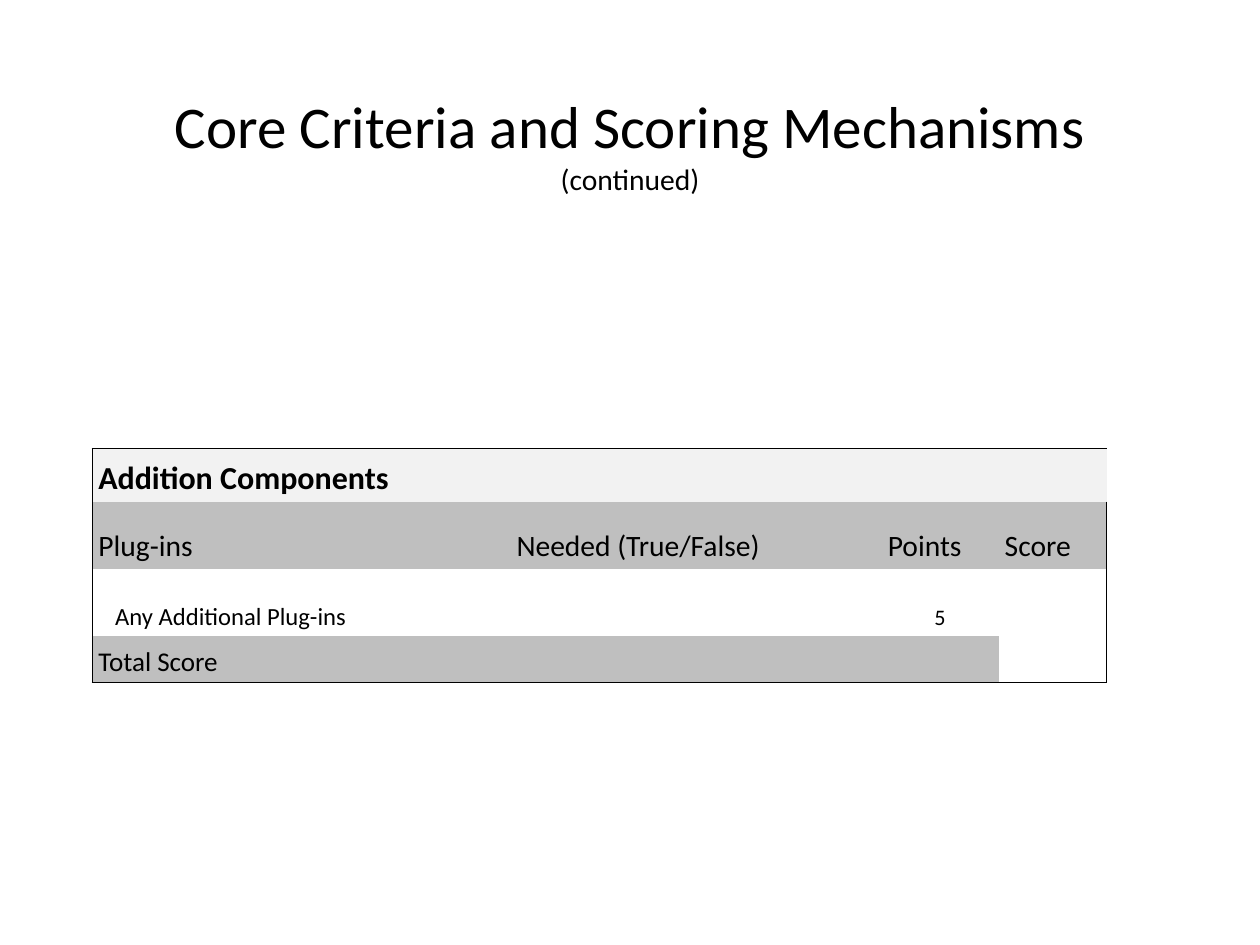
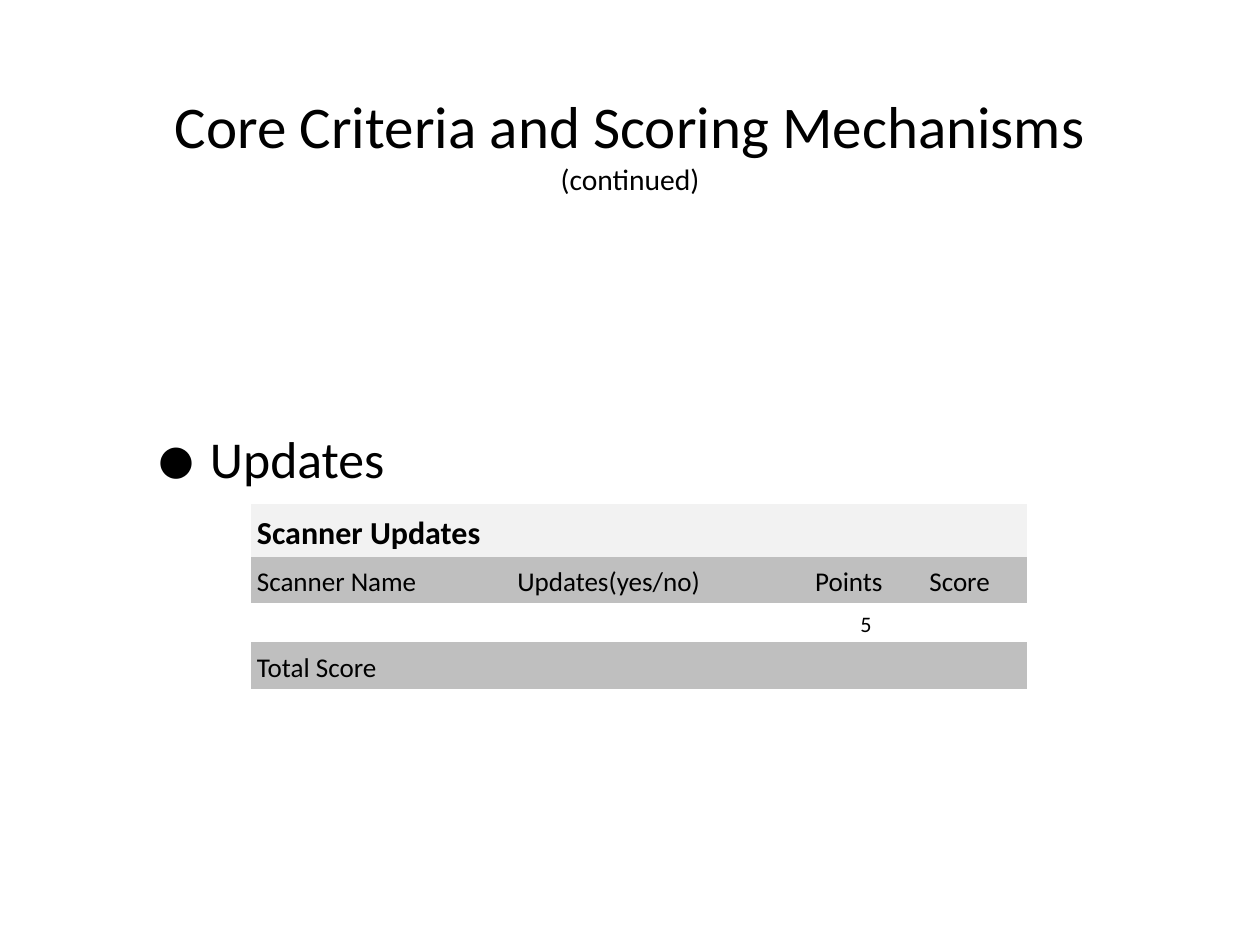
import dataclasses

import lxml.etree
import pptx
import pptx.dml.color
import pptx.enum.text
import pptx.oxml.ns
import pptx.util

EMU_PER_PX = 9144  # 100 px to the inch
ALIGN = pptx.enum.text.PP_ALIGN
ANCHOR = pptx.enum.text.MSO_ANCHOR
PLAIN_TABLE_STYLE = "{2D5ABB26-0587-4C30-8999-92F81FD0307C}"


@dataclasses.dataclass(frozen=True)
class Theme:
    font: str = "Calibri"
    ink: str = "000000"
    paper: str = "FFFFFF"
    heading_fill: str = "F2F2F2"
    band_fill: str = "BFBFBF"
    title_size: int = 48
    title_gap_size: int = 26
    subtitle_size: int = 24
    body_size: int = 42
    heading_size: int = 26
    total_size: int = 22
    item_size: int = 20
    points_size: int = 18
    border_width: float = 1.13
    bullet_percent: int = 171


@dataclasses.dataclass
class Row:
    height: int
    texts: tuple
    fill: str
    size: int
    bold: bool = False
    span: int = 1
    indent: int = 0
    last_fill: str = ""


def px(length):
    return pptx.util.Emu(length * EMU_PER_PX)


def rgb(value):
    return pptx.dml.color.RGBColor.from_string(value)


def add_element(parent, tag, **attributes):
    element = lxml.etree.SubElement(parent, pptx.oxml.ns.qn(tag))
    for name, value in attributes.items():
        element.set(name, str(value))
    return element


class ScoringDeck:
    def __init__(self, theme):
        self.theme = theme
        self.deck = pptx.Presentation()
        self.deck.slide_width = px(1422)
        self.deck.slide_height = px(1066)
        self.page = None

    def add_page(self):
        self.page = self.deck.slides.add_slide(self.deck.slide_layouts[6])
        fill = self.page.background.fill
        fill.solid()
        fill.fore_color.rgb = rgb(self.theme.paper)
        self.add_title()

    def add_span(self, para, text, size, bold=False):
        span = para.add_run()
        span.text = text
        span.font.name = self.theme.font
        span.font.size = pptx.util.Pt(size)
        span.font.bold = bold
        span.font.color.rgb = rgb(self.theme.ink)

    def add_box(self, left, top, width, height, anchor):
        box = self.page.shapes.add_textbox(px(left), px(top), px(width), px(height))
        frame = box.text_frame
        frame.word_wrap = True
        frame.vertical_anchor = anchor
        frame.margin_left = frame.margin_right = px(6)
        frame.margin_top = frame.margin_bottom = px(6)
        return frame.paragraphs[0]

    def add_title(self):
        theme = self.theme
        para = self.add_box(139, 15, 1144, 292, ANCHOR.MIDDLE)
        para.alignment = ALIGN.CENTER
        self.add_span(para, "Core Criteria and Scoring Mechanisms", theme.title_size)
        self.add_span(para, " ", theme.title_gap_size)
        self.add_span(para, "(continued)", theme.subtitle_size)

    def add_bullet(self, text, left, top, width, height):
        para = self.add_box(left, top, width, height, ANCHOR.TOP)
        properties = para._p.get_or_add_pPr()
        properties.set("marL", str(px(92)))
        properties.set("indent", str(px(-63)))
        color = add_element(properties, "a:buClr")
        add_element(color, "a:srgbClr", val=self.theme.ink)
        add_element(properties, "a:buSzPct", val=self.theme.bullet_percent * 1000)
        add_element(properties, "a:buFont", typeface=self.theme.font)
        add_element(properties, "a:buChar", char="•")
        self.add_span(para, text, self.theme.body_size)

    def add_borders(self, cell, edges):
        properties = cell._tc.get_or_add_tcPr()
        for edge in edges:
            line = add_element(properties, f"a:ln{edge}",
                               w=pptx.util.Pt(self.theme.border_width))
            fill = add_element(line, "a:solidFill")
            add_element(fill, "a:srgbClr", val=self.theme.ink)

    def fill_cell(self, cell, text, row, fill):
        cell.fill.solid()
        cell.fill.fore_color.rgb = rgb(fill)
        cell.vertical_anchor = ANCHOR.BOTTOM
        cell.margin_left = cell.margin_right = px(7)
        cell.margin_top = cell.margin_bottom = px(5)
        if not text:
            return
        para = cell.text_frame.paragraphs[0]
        para.line_spacing = 1.15
        size = row.size
        if text.isdigit():
            para.alignment = ALIGN.CENTER
            size = self.theme.points_size
        elif row.indent:
            para._p.get_or_add_pPr().set("marL", str(px(row.indent)))
        self.add_span(para, text, size, row.bold)

    def add_score_table(self, left, top, widths, rows, outlined=False):
        frame = self.page.shapes.add_table(
            len(rows), len(widths), px(left), px(top),
            px(sum(widths)), px(sum(row.height for row in rows)))
        table = frame.table
        table.first_row = table.horz_banding = False
        style = table._tbl.tblPr.find(pptx.oxml.ns.qn("a:tableStyleId"))
        style.text = PLAIN_TABLE_STYLE
        for column, width in zip(table.columns, widths):
            column.width = px(width)
        last_row, last_column = len(rows) - 1, len(widths) - 1
        for y, row in enumerate(rows):
            table.rows[y].height = px(row.height)
            if row.span > 1:
                table.cell(y, 0).merge(table.cell(y, row.span - 1))
            for x, text in enumerate(row.texts):
                cell = table.cell(y, x)
                if outlined:
                    # The heading row stays open on the right
                    sides = {"L": x == 0, "R": x == last_column and y > 0,
                             "T": y == 0, "B": y == last_row}
                    self.add_borders(cell, [side for side, drawn in sides.items() if drawn])
                fill = row.last_fill if row.last_fill and x == last_column else row.fill
                self.fill_cell(cell, text, row, fill)

    def heading_row(self, text):
        theme = self.theme
        return Row(50, (text, "", "", ""), theme.heading_fill, theme.heading_size,
                   bold=True, span=4)

    def total_row(self, last_fill=""):
        theme = self.theme
        return Row(42, ("Total Score", "", "", ""), theme.band_fill, theme.total_size,
                   span=3, last_fill=last_fill)


def main():
    theme = Theme()
    scoring = ScoringDeck(theme)

    # Additional plug-ins
    scoring.add_page()
    scoring.add_score_table(104, 506, (472, 419, 132, 122), [
        scoring.heading_row("Addition Components"),
        Row(76, ("Plug-ins", "Needed (True/False)", "Points", "Score"),
            theme.band_fill, theme.subtitle_size),
        Row(76, ("Any Additional Plug-ins", "", "5", ""),
            theme.paper, theme.item_size, indent=19),
        scoring.total_row(last_fill=theme.paper),
    ], outlined=True)

    # Scanner updates
    scoring.add_page()
    scoring.add_bullet("Updates", 139, 476, 1144, 83)
    scoring.add_score_table(283, 568, (294, 336, 129, 117), [
        scoring.heading_row("Scanner Updates"),
        Row(42, ("Scanner Name", "Updates(yes/no)", "Points", "Score"),
            theme.band_fill, theme.total_size),
        Row(35, ("", "", "5", ""), theme.paper, theme.item_size),
        scoring.total_row(),
    ])

    scoring.deck.save("out.pptx")


if __name__ == "__main__":
    main()
